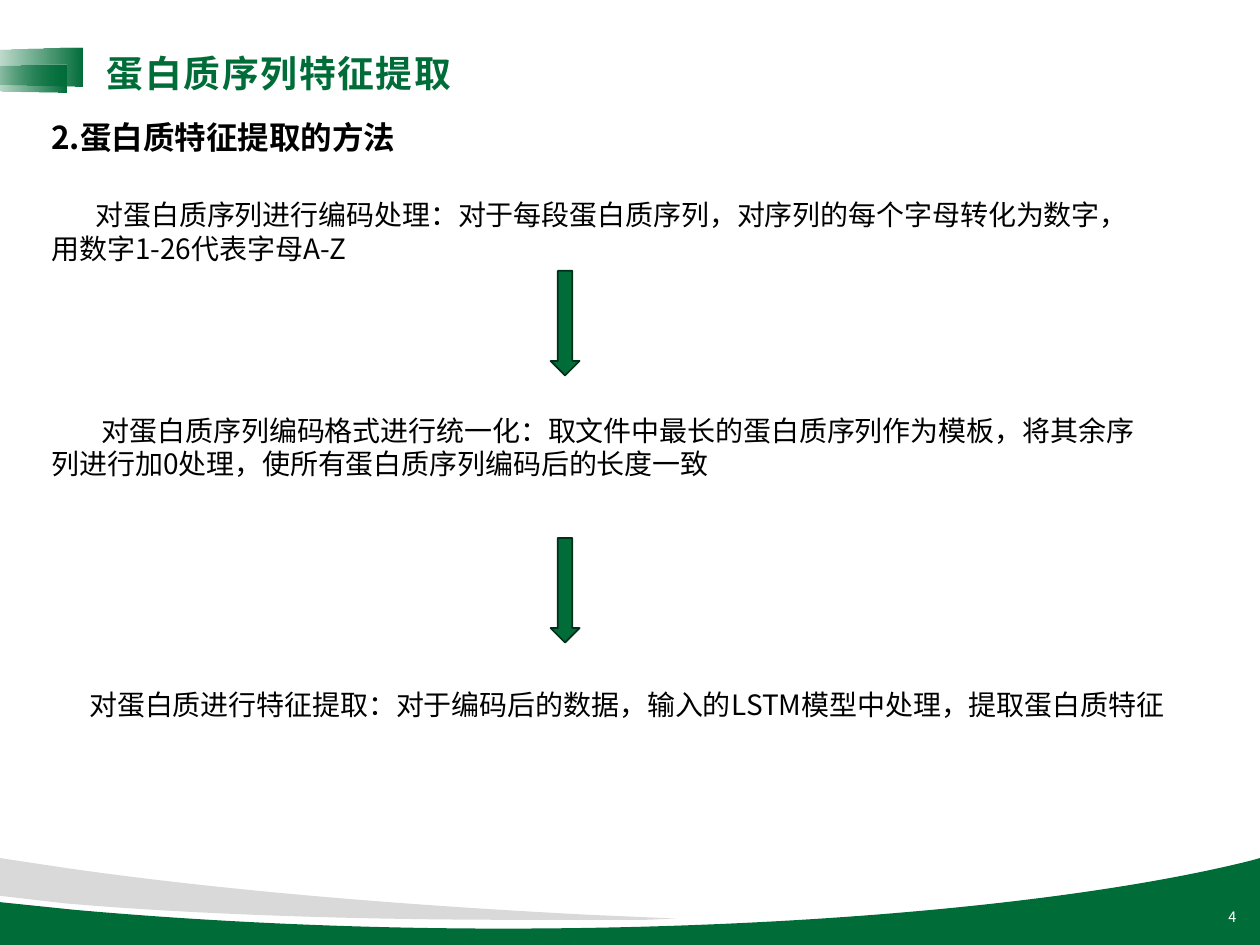
"""Builds the slide on protein sequence feature extraction."""
from lxml import etree
from pptx import Presentation
from pptx import util as u
from pptx.dml.color import RGBColor
from pptx.enum import shapes, text
from pptx.oxml.ns import qn

COLORS = {"green": "006D39", "edge": "003019", "gray": "D9D9D9",
          "black": "000000", "white": "FFFFFF"}
FONT = "Noto Sans CJK SC"

deck = Presentation()
deck.slide_width, deck.slide_height = u.Inches(10), u.Inches(7.5)
slide = deck.slides.add_slide(deck.slide_layouts[6])


def add_text(words, left, top, width, height, size, color="black", bold=False, indent=0):
    box = slide.shapes.add_textbox(*map(u.Inches, (left, top, width, height)))
    frame = box.text_frame
    frame.word_wrap = True
    frame.text = words
    paragraph = frame.paragraphs[0]
    paragraph.line_spacing = u.Pt(round(size * 1.2, 1))
    if indent:
        paragraph._p.get_or_add_pPr().set("indent", str(u.Inches(indent)))
    run = paragraph.runs[0]
    run.font.size, run.font.bold, run.font.name = u.Pt(size), bold, FONT
    run.font.color.rgb = RGBColor.from_string(COLORS[color])
    etree.SubElement(run._r.get_or_add_rPr(), qn("a:ea")).set("typeface", FONT)
    return frame


def add_wave(color, start, segments):
    left, top = 0, 6.81
    builder = slide.shapes.build_freeform(start[0] * 100, start[1] * 100, scale=u.Inches(0.01))
    builder.add_line_segments([(x * 100, y * 100) for *_, (x, y) in segments], close=True)
    wave = builder.convert_to_shape()
    wave.shadow.inherit = False
    wave.fill.solid()
    wave.fill.fore_color.rgb = RGBColor.from_string(COLORS[color])
    wave.line.fill.background()
    for side, segment in zip(list(wave._element.iter(qn("a:lnTo"))), segments):
        if len(segment) == 3:
            curve = etree.Element(qn("a:cubicBezTo"))
            for x, y in segment:
                point = etree.SubElement(curve, qn("a:pt"))
                point.set("x", str(round((x - left) * 100)))
                point.set("y", str(round((y - top) * 100)))
            side.getparent().replace(side, curve)


add_wave("green", (10, 6.81), [
    [(10, 7.5)], [(0, 7.5)], [(0, 7.16)], [(0.58, 7.22)],
    [(1.59, 7.31), (2.76, 7.37), (3.99, 7.37)],
    [(6.47, 7.37), (8.65, 7.15), (9.93, 6.83)],
])
add_wave("gray", (0, 6.81), [
    [(0.53, 6.89)],
    [(1.72, 7.06), (3.12, 7.18), (4.67, 7.26)],
    [(5.36, 7.29)], [(5.13, 7.3)],
    [(4.8, 7.3), (4.46, 7.3), (4.11, 7.3)],
    [(2.71, 7.3), (1.44, 7.25), (0.52, 7.17)],
    [(0, 7.11)],
])

for position in ((0.06, 0.09, 0.31, 0.88), (0.05, 0.26, 0.22, 0.73)):
    ribbon = slide.shapes.add_shape(shapes.MSO_SHAPE.TRAPEZOID, *map(u.Inches, position))
    ribbon.adjustments[0] = 0.07
    ribbon.rotation = 270
    ribbon.shadow.inherit = False
    ribbon.line.fill.background()
    ribbon.fill.gradient()
    ribbon.fill.gradient_angle = 270
    for stop in ribbon.fill.gradient_stops:
        stop.color.rgb = RGBColor.from_string(COLORS["green"])
    clear = next(ribbon._element.spPr.iter(qn("a:srgbClr")))
    etree.SubElement(clear, qn("a:alpha")).set("val", "0")

title = add_text("蛋白质序列特征提取", 0.75, 0.35, 4.32, 0.45, 21, "green", True)
title.paragraphs[0].runs[0]._r.get_or_add_rPr().set("spc", "100")

page_number = add_text("4", 7.66, 7.08, 2.25, 0.4, 8.2, "white")
page_number.vertical_anchor = text.MSO_ANCHOR.MIDDLE
page_number.paragraphs[0].alignment = text.PP_ALIGN.RIGHT

add_text("2.蛋白质特征提取的方法", 0.31, 0.89, 7.71, 0.4, 18, bold=True)

steps = (
    ("对蛋白质序列进行编码处理：对于每段蛋白质序列，对序列的每个字母转化为数字，用数字1-26代表字母A-Z",
     1.52, 8.96, 0.91, 0.35),
    ("对蛋白质序列编码格式进行统一化：取文件中最长的蛋白质序列作为模板，将其余序列进行加0处理，使所有蛋白质序列编码后的长度一致",
     3.23, 8.96, 0.91, 0.4),
    ("对蛋白质进行特征提取：对于编码后的数据，输入的LSTM模型中处理，提取蛋白质特征",
     5.41, 9.48, 0.64, 0.3),
)
for words, top, width, height, indent in steps:
    add_text(words, 0.31, top, width, height, 16, indent=indent)

for top in (2.15, 4.27):
    arrow = slide.shapes.add_shape(shapes.MSO_SHAPE.DOWN_ARROW,
                                   *map(u.Inches, (4.37, top, 0.23, 0.83)))
    arrow.shadow.inherit = False
    arrow.fill.solid()
    arrow.fill.fore_color.rgb = RGBColor.from_string(COLORS["green"])
    arrow.line.color.rgb = RGBColor.from_string(COLORS["edge"])
    arrow.line.width = u.Pt(1)

deck.save("out.pptx")
